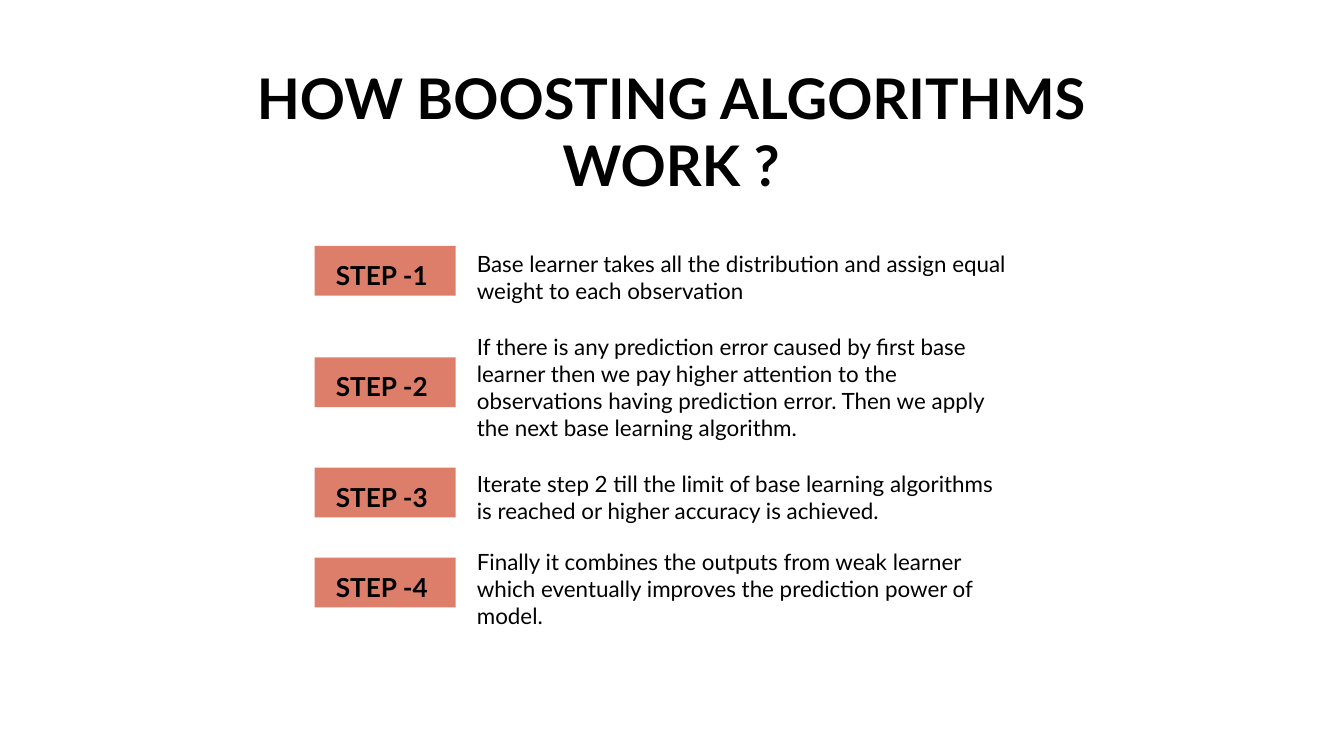
from pptx import Presentation
from pptx.dml.color import RGBColor
from pptx.enum import shapes, text
from pptx.util import Pt

BLACK = RGBColor(0x00, 0x00, 0x00)
CORAL = RGBColor(0xDD, 0x7E, 0x6B)
FONT = "Lato"
INSET = Pt(7.2)

LABEL_LEFT, LABEL_WIDTH, LABEL_HEIGHT = 168.5, 75.6, 26.64
DETAIL_LEFT, DETAIL_WIDTH = 248.4, 298.08

# Label top, detail top, detail height, detail wording
STEPS = [
    (131.76, 126.72, 44.64,
     "Base learner takes all the distribution and assign equal weight "
     "to each observation"),
    (191.52, 171.36, 72,
     "If there is any prediction error caused by first base learner then "
     "we pay higher attention to the observations having prediction error. "
     "Then we apply the next base learning algorithm."),
    (250.56, 244.8, 40.32,
     "Iterate step 2 till the limit of base learning algorithms is reached "
     "or higher accuracy is achieved."),
    (298.8, 286.56, 55.44,
     "Finally it combines the outputs from weak learner which eventually "
     "improves the prediction power of model."),
]


def write(shape, words, size, bold=False, align=text.PP_ALIGN.LEFT):
    frame = shape.text_frame
    frame.word_wrap = True
    frame.vertical_anchor = text.MSO_ANCHOR.TOP
    frame.margin_left = frame.margin_right = INSET
    frame.margin_top = frame.margin_bottom = INSET
    paragraph = frame.paragraphs[0]
    paragraph.alignment = align
    run = paragraph.add_run()
    run.text = words
    run.font.name = FONT
    run.font.size = Pt(size)
    run.font.bold = bold
    run.font.color.rgb = BLACK


def add_words(slide, left, top, width, height, words, size, **style):
    box = slide.shapes.add_textbox(Pt(left), Pt(top), Pt(width), Pt(height))
    write(box, words, size, **style)


def add_label(slide, top, words):
    label = slide.shapes.add_shape(
        shapes.MSO_SHAPE.RECTANGLE,
        Pt(LABEL_LEFT), Pt(top), Pt(LABEL_WIDTH), Pt(LABEL_HEIGHT))
    label.shadow.inherit = False
    label.fill.solid()
    label.fill.fore_color.rgb = CORAL
    label.line.fill.background()
    write(label, words, 14, bold=True, align=text.PP_ALIGN.CENTER)


def main():
    deck = Presentation()
    deck.slide_width, deck.slide_height = Pt(720), Pt(405)
    slide = deck.slides.add_slide(deck.slide_layouts[6])

    # Title
    add_words(slide, 110.16, 26.64, 498.96, 79.2,
              "HOW BOOSTING ALGORITHMS WORK ?", 30,
              bold=True, align=text.PP_ALIGN.CENTER)

    # Steps: label on the left, explanation on the right
    for number, (label_top, detail_top, height, detail) in enumerate(STEPS, 1):
        add_label(slide, label_top, f"STEP -{number} ")
        add_words(slide, DETAIL_LEFT, detail_top, DETAIL_WIDTH, height,
                  detail, 12)

    deck.save("out.pptx")


if __name__ == "__main__":
    main()
